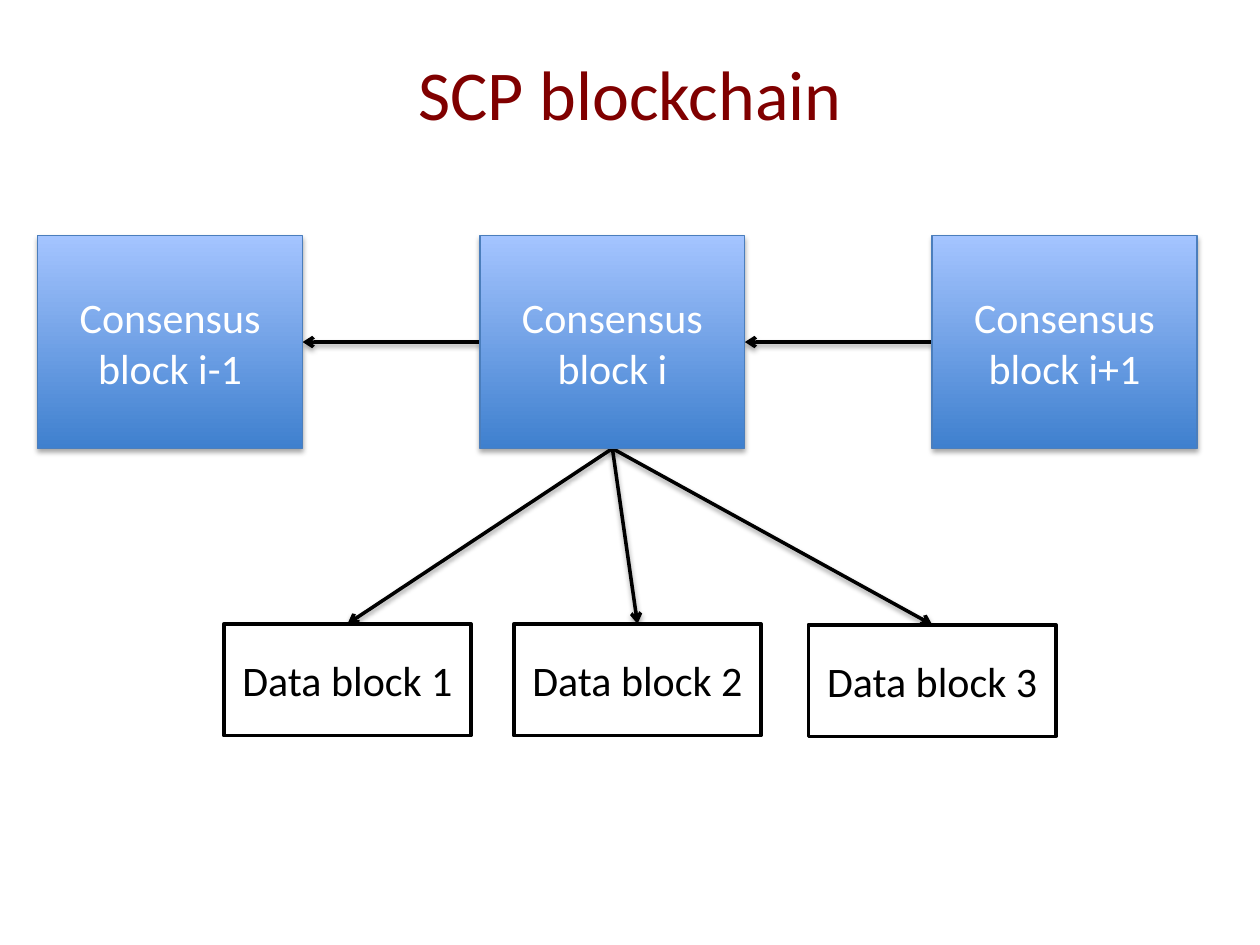
"""Build the SCP blockchain slide: a chain of consensus blocks and their data blocks."""
from lxml.etree import SubElement
from pptx import Presentation
from pptx.dml.color import RGBColor
from pptx.enum.shapes import MSO_CONNECTOR as Connector, MSO_SHAPE as Shape
from pptx.enum.text import MSO_ANCHOR as Anchor, PP_ALIGN as Align
from pptx.oxml.ns import qn
from pptx.util import Pt

TITLE = "SCP blockchain"
CONSENSUS = [("Consensus block i-1", 21.5), ("Consensus block i", 274.25), ("Consensus block i+1", 532.6)]
DATA = [("Data block 1", 127.9, 356.5), ("Data block 2", 293.6, 356.5), ("Data block 3", 462, 357)]
CONSENSUS_TOP, CONSENSUS_SIZE = 134.6, (151.4, 121.7)
DATA_SIZE = (141.4, 63.8)
FONT = "Calibri"
COLORS = {
    "title": "800000",
    "ink": "000000",
    "paper": "FFFFFF",
    "grad_low": "3F80CE",
    "grad_high": "A4C4FF",
    "edge": "4B7EBC",
}
TOP, LEFT, BOTTOM, RIGHT = range(4)


def color(name):
    return RGBColor.from_string(COLORS[name])


def write(box, text, size, ink):
    frame = box.text_frame
    frame.word_wrap = True
    frame.vertical_anchor = Anchor.MIDDLE
    frame.text = text
    para = frame.paragraphs[0]
    para.alignment = Align.CENTER
    font = para.runs[0].font
    font.name, font.size, font.color.rgb = FONT, Pt(size), color(ink)


def add_shadow(item, distance, opacity):
    effects = SubElement(item.element.spPr, qn("a:effectLst"))
    shadow = SubElement(effects, qn("a:outerShdw"), blurRad=str(Pt(3.1)), dist=str(Pt(distance)),
                        dir="5400000", rotWithShape="0")
    tint = SubElement(shadow, qn("a:srgbClr"), val=COLORS["ink"])
    SubElement(tint, qn("a:alpha"), val=str(opacity * 1000))


def add_block(page, text, left, top, size, ink, edge, edge_width):
    block = page.shapes.add_shape(Shape.RECTANGLE, Pt(left), Pt(top), *map(Pt, size))
    block.line.color.rgb = color(edge)
    block.line.width = Pt(edge_width)
    write(block, text, 24, ink)
    return block


def add_consensus_block(page, text, left):
    block = add_block(page, text, left, CONSENSUS_TOP, CONSENSUS_SIZE, "paper", "edge", 0.75)
    block.fill.gradient()
    block.fill.gradient_angle = 90
    for stop, position, name in zip(block.fill.gradient_stops, (0, 1), ("grad_low", "grad_high")):
        stop.position = position
        stop.color.rgb = color(name)
    add_shadow(block, 1.8, 35)
    return block


def add_data_block(page, text, left, top):
    block = add_block(page, text, left, top, DATA_SIZE, "ink", "ink", 2)
    block.fill.solid()
    block.fill.fore_color.rgb = color("paper")
    block.shadow.inherit = False
    return block


def add_arrow(page, start, start_side, end, end_side):
    arrow = page.shapes.add_connector(Connector.STRAIGHT, 0, 0, 0, 0)
    arrow.begin_connect(start, start_side)
    arrow.end_connect(end, end_side)
    arrow.line.color.rgb = color("ink")
    arrow.line.width = Pt(2)
    SubElement(arrow.element.spPr.find(qn("a:ln")), qn("a:tailEnd"), type="arrow")
    add_shadow(arrow, 1.6, 38)
    arrow.element.getparent().insert(2, arrow.element)


def main():
    deck = Presentation()
    deck.slide_width, deck.slide_height = Pt(720), Pt(540)
    page = deck.slides.add_slide(deck.slide_layouts[6])
    title = page.shapes.add_textbox(Pt(36), Pt(21.6), Pt(648), Pt(62))
    write(title, TITLE, 40, "title")

    chain = [add_consensus_block(page, *block) for block in CONSENSUS]
    leaves = [add_data_block(page, *block) for block in DATA]
    for earlier, later in zip(chain, chain[1:]):
        add_arrow(page, later, LEFT, earlier, RIGHT)
    for leaf in leaves:
        add_arrow(page, chain[1], BOTTOM, leaf, TOP)
    deck.save("out.pptx")


if __name__ == "__main__":
    main()
